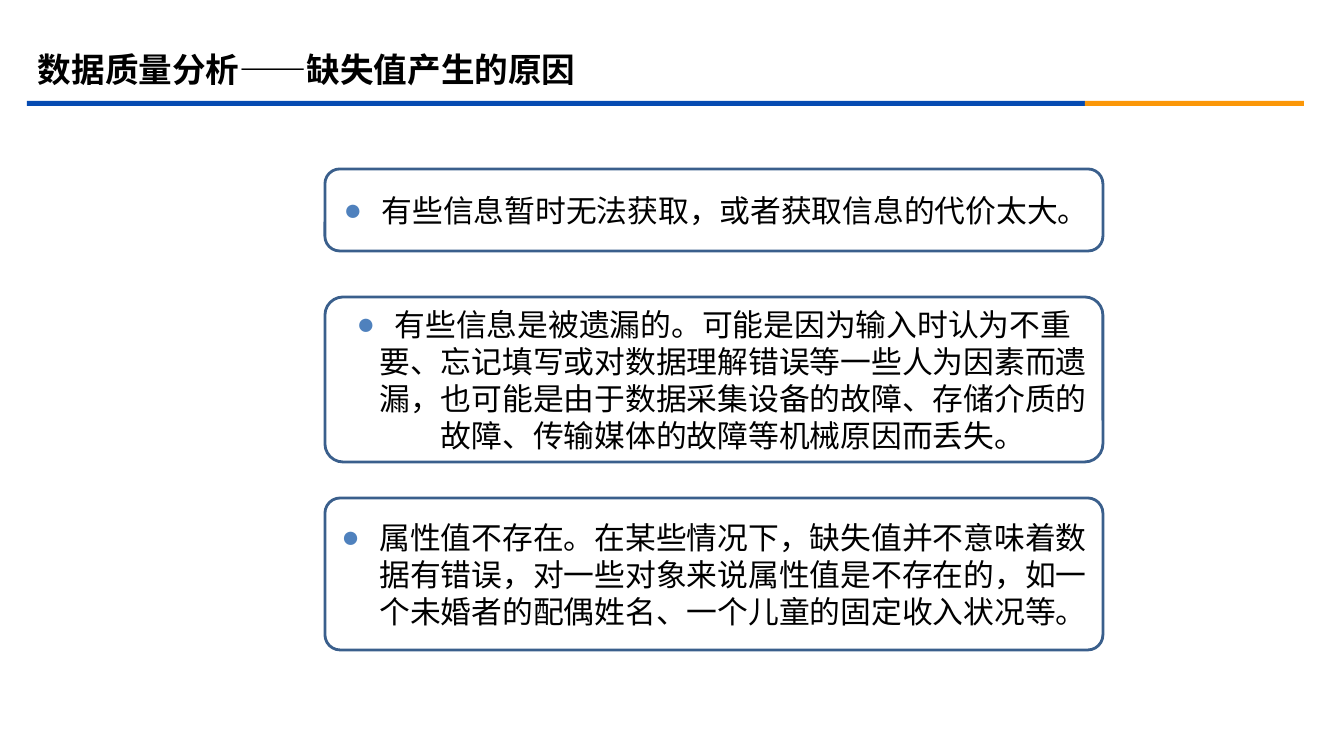
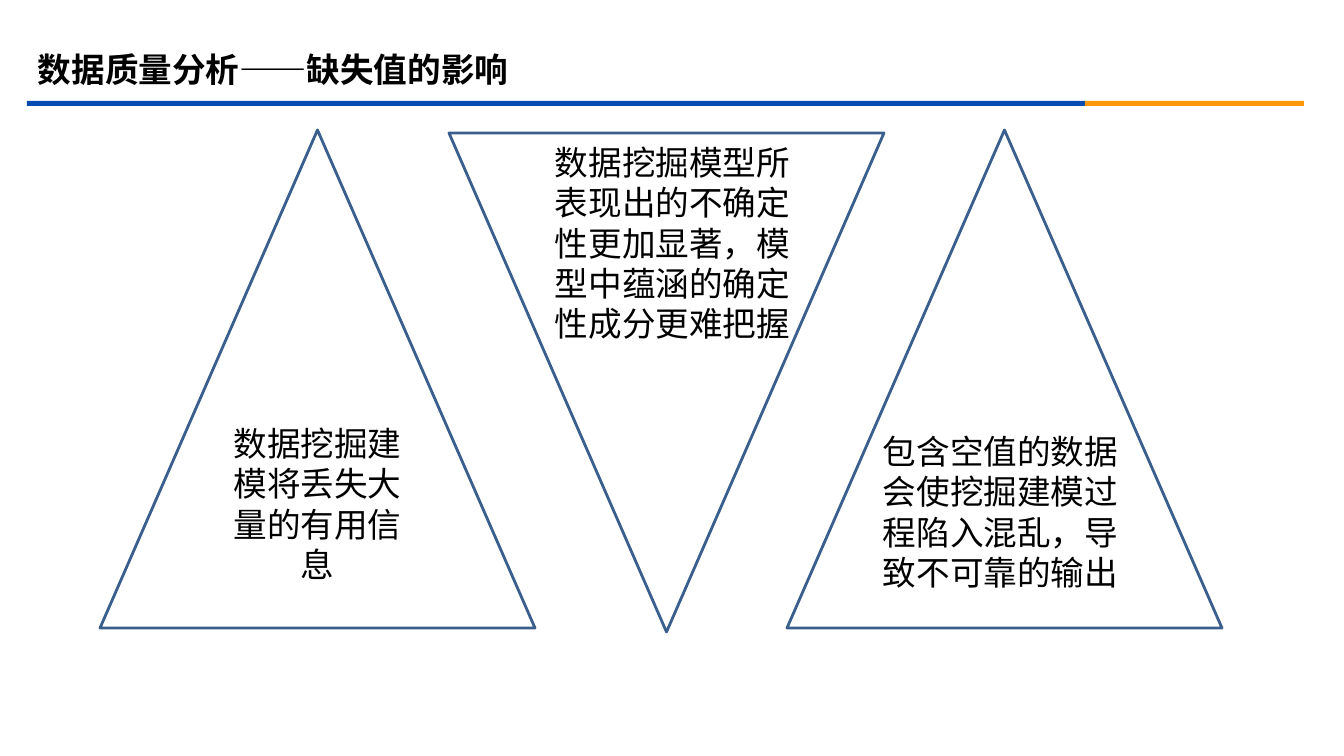
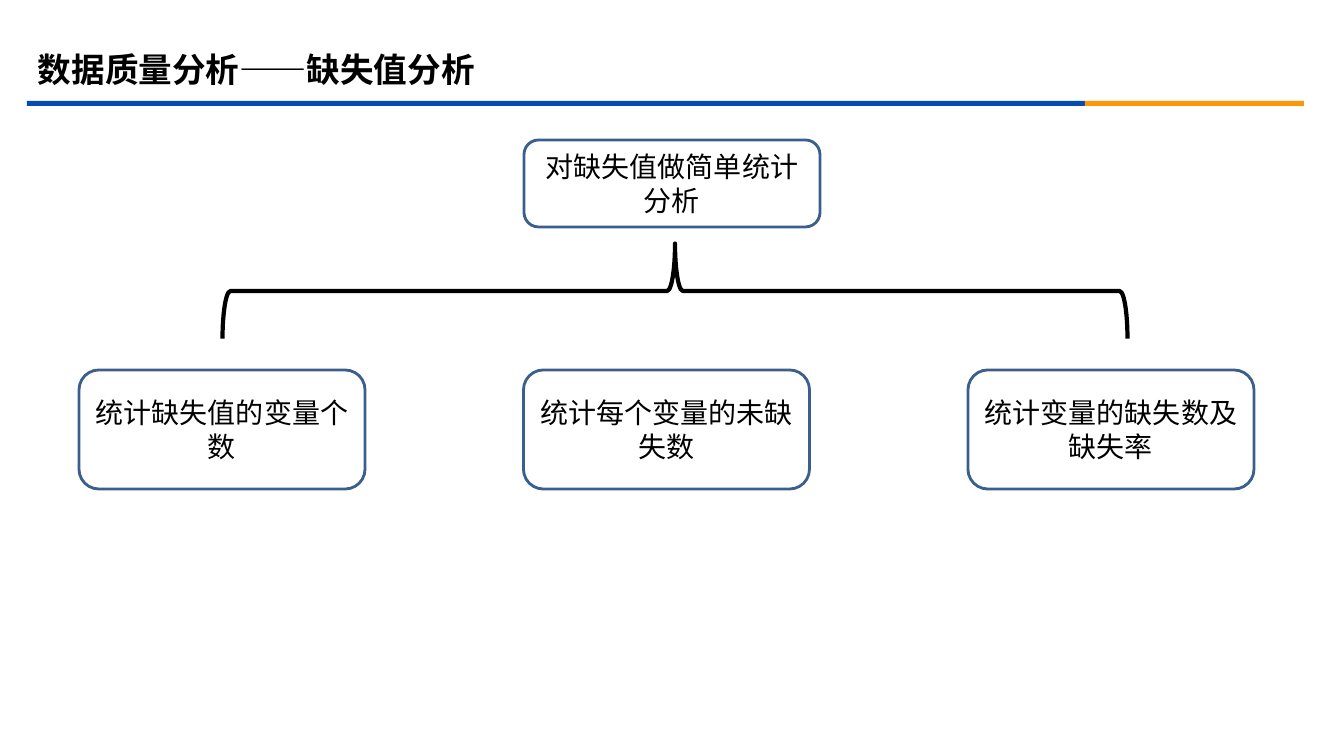
from lxml import etree
from pptx import Presentation
from pptx.dml.color import RGBColor
from pptx.enum.shapes import MSO_SHAPE
from pptx.enum.text import MSO_ANCHOR, MSO_AUTO_SIZE, PP_ALIGN
from pptx.oxml.ns import qn
from pptx.util import Pt

ROUNDED, TRIANGLE = MSO_SHAPE.ROUNDED_RECTANGLE, MSO_SHAPE.ISOSCELES_TRIANGLE
BAND, BRACE = MSO_SHAPE.RECTANGLE, MSO_SHAPE.RIGHT_BRACE
LEFT, CENTER, RIGHT = PP_ALIGN.LEFT, PP_ALIGN.CENTER, PP_ALIGN.RIGHT
TOP, MIDDLE = MSO_ANCHOR.TOP, MSO_ANCHOR.MIDDLE
GROW = MSO_AUTO_SIZE.SHAPE_TO_FIT_TEXT

BLACK = RGBColor(0x00, 0x00, 0x00)
BLUE = RGBColor(0x06, 0x4B, 0xB2)
ORANGE = RGBColor(0xFB, 0x97, 0x08)
OUTLINE = RGBColor(0x3A, 0x5F, 0x8C)
BULLET = RGBColor(0x4F, 0x81, 0xBD)

TITLE_FONT, BODY_FONT = "Times New Roman", "Noto Sans CJK SC"
EMU_PER_PIXEL = 914400 / 100.8

TITLE_BOX = (28, 40, 1210, 58)
BANDS = [((27, 101, 1058, 5), BLUE), ((1085, 101, 219, 5), ORANGE)]

CAUSES_TITLE = "数据质量分析——缺失值产生的原因"
CAUSES_LEFT, CAUSES_WIDTH, CAUSE_INDENT = 325, 778, 38
CAUSES = [
    (169, 82, 0.18, RIGHT, "有些信息暂时无法获取，或者获取信息的代价太大。"),
    (297, 165, 0.11, CENTER,
     "有些信息是被遗漏的。可能是因为输入时认为不重要、忘记填写或对数据理解错误等一些人为因素而遗漏，"
     "也可能是由于数据采集设备的故障、存储介质的故障、传输媒体的故障等机械原因而丢失。"),
    (498, 152, 0.1, CENTER,
     "属性值不存在。在某些情况下，缺失值并不意味着数据有错误，对一些对象来说属性值是不存在的，"
     "如一个未婚者的配偶姓名、一个儿童的固定收入状况等。"),
]

EFFECTS_TITLE = "数据质量分析——缺失值的影响"
LOST_INFORMATION = "数据挖掘建模将丢失大量的有用信息"
EFFECT_TRIANGLES = [
    ((100, 130, 435, 498), 0, LOST_INFORMATION),
    ((449, 133, 435, 499), 180, ""),
    ((787, 130, 435, 498), 0, ""),
]
EFFECT_NOTES = [
    ((545, 137, 276, 216), "数据挖掘模型所表现出的不确定性更加显著，模型中蕴涵的确定性成分更难把握"),
    ((873, 426, 276, 174), "包含空值的数据会使挖掘建模过程陷入混乱，导致不可靠的输出"),
]

ANALYSIS_TITLE = "数据质量分析——缺失值分析"
ANALYSIS = ((524, 140, 296, 87), "对缺失值做简单统计分析")
STATISTICS = ["统计缺失值的变量个数", "统计每个变量的未缺失数", "统计变量的缺失数及缺失率"]
STATISTICS_LEFT, STATISTICS_TOP, STATISTICS_SPAN = 79, 370, 889
STATISTIC_SIZE = (286, 119)
BRACE_CENTER, BRACE_THICKNESS, BRACE_SPAN = (675, 291), 95, 905


def px(length):
    return round(length * EMU_PER_PIXEL)


def write(shape, text, size, align=CENTER, anchor=MIDDLE, font=BODY_FONT, bold=False):
    frame = shape.text_frame
    frame.word_wrap = True
    frame.vertical_anchor = anchor
    paragraph = frame.paragraphs[0]
    paragraph.alignment = align
    paragraph._p.get_or_add_pPr().set("hangingPunct", "0")
    run = paragraph.add_run()
    run.text = text
    run.font.name, run.font.size, run.font.bold = font, Pt(size), bold
    run.font.color.rgb = BLACK
    etree.SubElement(run.font._element, qn("a:ea"), typeface=BODY_FONT)
    return paragraph


def add_text(slide, box, text, size, **style):
    label = slide.shapes.add_textbox(*map(px, box))
    write(label, text, size, **style)
    return label


def add_outline(slide, kind, box, color=OUTLINE, width=2):
    outline = slide.shapes.add_shape(kind, *map(px, box))
    outline.shadow.inherit = False
    outline.fill.background()
    outline.line.color.rgb = color
    outline.line.width = Pt(width)
    return outline


def add_bullet(paragraph, indent):
    properties = paragraph._p.get_or_add_pPr()
    properties.set("marL", str(px(indent)))
    properties.set("indent", str(-px(indent)))
    color = etree.SubElement(properties, qn("a:buClr"))
    etree.SubElement(color, qn("a:srgbClr"), val=str(BULLET))
    etree.SubElement(properties, qn("a:buFont"), typeface=TITLE_FONT)
    etree.SubElement(properties, qn("a:buChar"), char="●")


def add_slide(deck, title):
    slide = deck.slides.add_slide(deck.slide_layouts[6])
    for box, color in BANDS:
        band = slide.shapes.add_shape(BAND, *map(px, box))
        band.shadow.inherit = False
        band.fill.solid()
        band.fill.fore_color.rgb = color
        band.line.fill.background()
    add_text(slide, TITLE_BOX, title, 24, align=LEFT, font=TITLE_FONT, bold=True)
    return slide


deck = Presentation()
deck.slide_width, deck.slide_height = px(1344), px(756)

causes = add_slide(deck, CAUSES_TITLE)
for top, height, rounding, align, text in CAUSES:
    cause = add_outline(causes, ROUNDED, (CAUSES_LEFT, top, CAUSES_WIDTH, height))
    cause.adjustments[0] = rounding
    add_bullet(write(cause, text, 22, align), CAUSE_INDENT)

effects = add_slide(deck, EFFECTS_TITLE)
for box, rotation, text in EFFECT_TRIANGLES:
    effect = add_outline(effects, TRIANGLE, box)
    effect.rotation = rotation
    if text:
        write(effect, text, 24)
for box, text in EFFECT_NOTES:
    note = add_text(effects, box, text, 24, align=LEFT, anchor=TOP)
    note.text_frame.auto_size = GROW

analysis = add_slide(deck, ANALYSIS_TITLE)
statistics_step = STATISTICS_SPAN / (len(STATISTICS) - 1)
statistics = [
    ((STATISTICS_LEFT + i * statistics_step, STATISTICS_TOP, *STATISTIC_SIZE), text)
    for i, text in enumerate(STATISTICS)
]
for box, text in [ANALYSIS, *statistics]:
    write(add_outline(analysis, ROUNDED, box), text, 20)
center_x, center_y = BRACE_CENTER
brace_box = (center_x - BRACE_THICKNESS / 2, center_y - BRACE_SPAN / 2,
             BRACE_THICKNESS, BRACE_SPAN)
add_outline(analysis, BRACE, brace_box, BLACK, 3).rotation = 270

deck.save("out.pptx")
